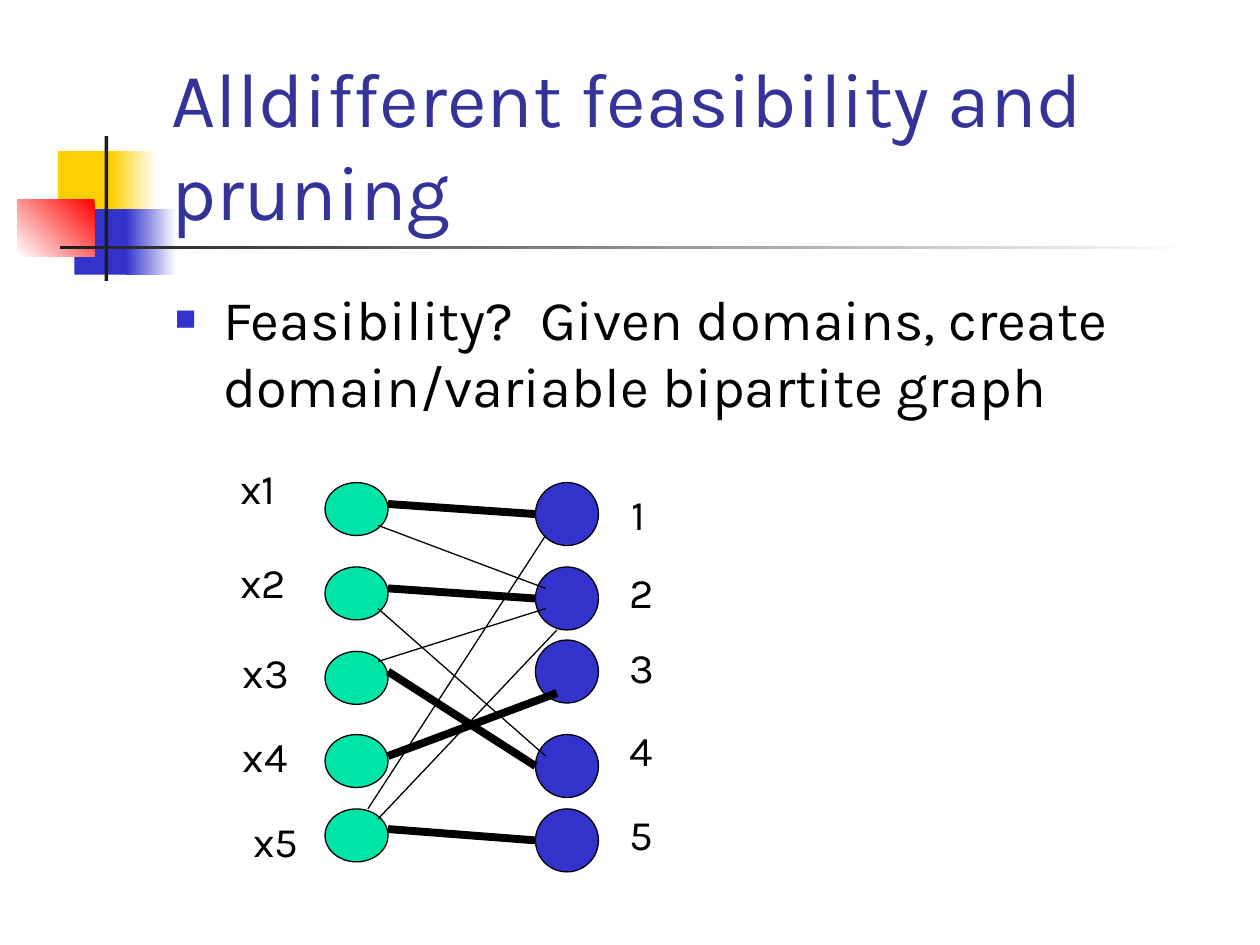
from lxml import etree
from pptx import Presentation
from pptx.dml.color import RGBColor
from pptx.enum.shapes import MSO_CONNECTOR as CONNECTOR, MSO_SHAPE as SHAPE
from pptx.enum.text import MSO_ANCHOR as ANCHOR, MSO_AUTO_SIZE as AUTO_SIZE, PP_ALIGN as ALIGN
from pptx.oxml.ns import qn
from pptx.util import Inches, Pt

FONT = "Karla"
WHITE = RGBColor(0xFF, 0xFF, 0xFF)
BLACK = RGBColor(0x00, 0x00, 0x00)
CHARCOAL = RGBColor(0x1C, 0x1C, 0x1C)
YELLOW = RGBColor(0xFF, 0xCF, 0x01)
RED = RGBColor(0xFF, 0x00, 0x00)
BLUE = RGBColor(0x33, 0x33, 0xCC)
TITLE_BLUE = RGBColor(0x33, 0x33, 0x99)
GREEN = RGBColor(0x00, 0xE4, 0xA8)

DECORATION = [
    ((0.46, 1.2, 0.48, 0.52), [YELLOW], 0),
    ((0.88, 1.2, 0.36, 0.52), [WHITE, YELLOW], 180),
    ((0.59, 1.66, 0.46, 0.52), [BLUE], 0),
    ((1, 1.66, 0.4, 0.52), [WHITE, BLUE], 180),
    ((0.14, 1.58, 0.61, 0.46), [RED, WHITE], 225),
    ((0.83, 1.08, 0.03, 1.15), [CHARCOAL], 0),
    ((0.48, 1.95, 9, 0.03), [WHITE, CHARCOAL], 180),
]
VARIABLES = [
    ("x1", 3.83, 1.81, 3.62),
    ("x2", 4.5, 1.81, 4.37),
    ("x3", 5.17, 1.83, 5.08),
    ("x4", 5.83, 1.83, 5.75),
    ("x5", 6.42, 1.91, 6.42),
]
VALUES = [
    ("1", 3.83, 4.91, 3.83),
    ("2", 4.5, 4.9, 4.45),
    ("3", 5.08, 4.9, 5.04),
    ("4", 5.83, 4.9, 5.7),
    ("5", 6.42, 4.9, 6.37),
]
DOMAIN_EDGES = [
    (3, 4.17, 4.33, 4.67),
    (3, 4.83, 4.33, 6),
    (3, 5.25, 4.33, 4.83),
    (3, 6.5, 4.42, 5),
    (2.92, 6.42, 4.33, 4.25),
]
MATCHING_EDGES = [
    (3.08, 4, 4.25, 4.08),
    (3.08, 4.67, 4.25, 4.75),
    (3.08, 5.33, 4.25, 6.08),
    (3.08, 6, 4.42, 5.5),
    (3.08, 6.58, 4.25, 6.67),
]


def inches(lengths):
    return [Inches(length) for length in lengths]


def write_text(shape, text, size, color=BLACK, anchor=ANCHOR.TOP, wrap=True):
    frame = shape.text_frame
    frame.word_wrap = wrap
    frame.auto_size = AUTO_SIZE.NONE
    frame.vertical_anchor = anchor
    paragraph = frame.paragraphs[0]
    paragraph.alignment = ALIGN.LEFT
    paragraph.space_before = Pt(0)
    run = paragraph.add_run()
    run.text = text
    run.font.name = FONT
    run.font.size = Pt(size)
    run.font.color.rgb = color
    return paragraph


def add_bullet(paragraph, character, color, percent):
    properties = paragraph._p.get_or_add_pPr()
    properties.set("marL", str(Inches(0.38)))
    properties.set("indent", str(Inches(-0.38)))
    bullet_color = etree.SubElement(properties, qn("a:buClr"))
    etree.SubElement(bullet_color, qn("a:srgbClr"), val=str(color))
    etree.SubElement(properties, qn("a:buSzPct"), val=str(percent * 1000))
    etree.SubElement(properties, qn("a:buFont"), typeface=FONT)
    etree.SubElement(properties, qn("a:buChar"), char=character)


def place_placeholder(shape, box):
    shape.left, shape.top, shape.width, shape.height = inches(box)
    shape.element.getparent().append(shape.element)


def add_block(slide, box, colors, angle):
    shape = slide.shapes.add_shape(SHAPE.RECTANGLE, *inches(box))
    shape.shadow.inherit = False
    shape.line.fill.background()
    if len(colors) == 1:
        shape.fill.solid()
        shape.fill.fore_color.rgb = colors[0]
        return
    shape.fill.gradient()
    shape.fill.gradient_angle = angle
    for stop, color in zip(shape.fill.gradient_stops, colors):
        stop.color.rgb = color


def add_node(slide, box, color):
    shape = slide.shapes.add_shape(SHAPE.OVAL, *inches(box))
    shape.shadow.inherit = False
    shape.fill.solid()
    shape.fill.fore_color.rgb = color
    shape.line.color.rgb = BLACK
    shape.line.width = Pt(0.75)


def add_nodes(slide, nodes, left, height, color, label_width):
    for label, top, label_left, label_top in nodes:
        add_node(slide, (left, top, 0.5, height), color)
        box = slide.shapes.add_textbox(*inches((label_left, label_top, label_width, 0.5)))
        write_text(box, label, 24)


def add_edges(slide, edges, width):
    for edge in edges:
        connector = slide.shapes.add_connector(CONNECTOR.STRAIGHT, *inches(edge))
        connector.line.color.rgb = BLACK
        connector.line.width = Pt(width)
        etree.SubElement(connector.element.spPr, qn("a:effectLst"))


def main():
    presentation = Presentation()
    presentation.slide_width = Inches(10)
    presentation.slide_height = Inches(7.5)
    slide = presentation.slides.add_slide(presentation.slide_layouts[1])

    for box, colors, angle in DECORATION:
        add_block(slide, box, colors, angle)

    title = slide.shapes.title
    body = slide.placeholders[1]
    place_placeholder(title, (1.26, 0.67, 8.52, 1.25))
    write_text(title, "Alldifferent feasibility and pruning", 44,
               color=TITLE_BLUE, anchor=ANCHOR.BOTTOM)
    place_placeholder(body, (1.29, 2.21, 8.5, 4.5))
    paragraph = write_text(
        body, "Feasibility?  Given domains, create domain/variable bipartite graph", 32)
    add_bullet(paragraph, "■", BLUE, 40)

    add_nodes(slide, VARIABLES, 2.58, 0.42, GREEN, 0.62)
    add_nodes(slide, VALUES, 4.25, 0.5, BLUE, 0.42)
    add_edges(slide, DOMAIN_EDGES, 0.75)
    add_edges(slide, MATCHING_EDGES, 4.5)

    presentation.save("out.pptx")


if __name__ == "__main__":
    main()
